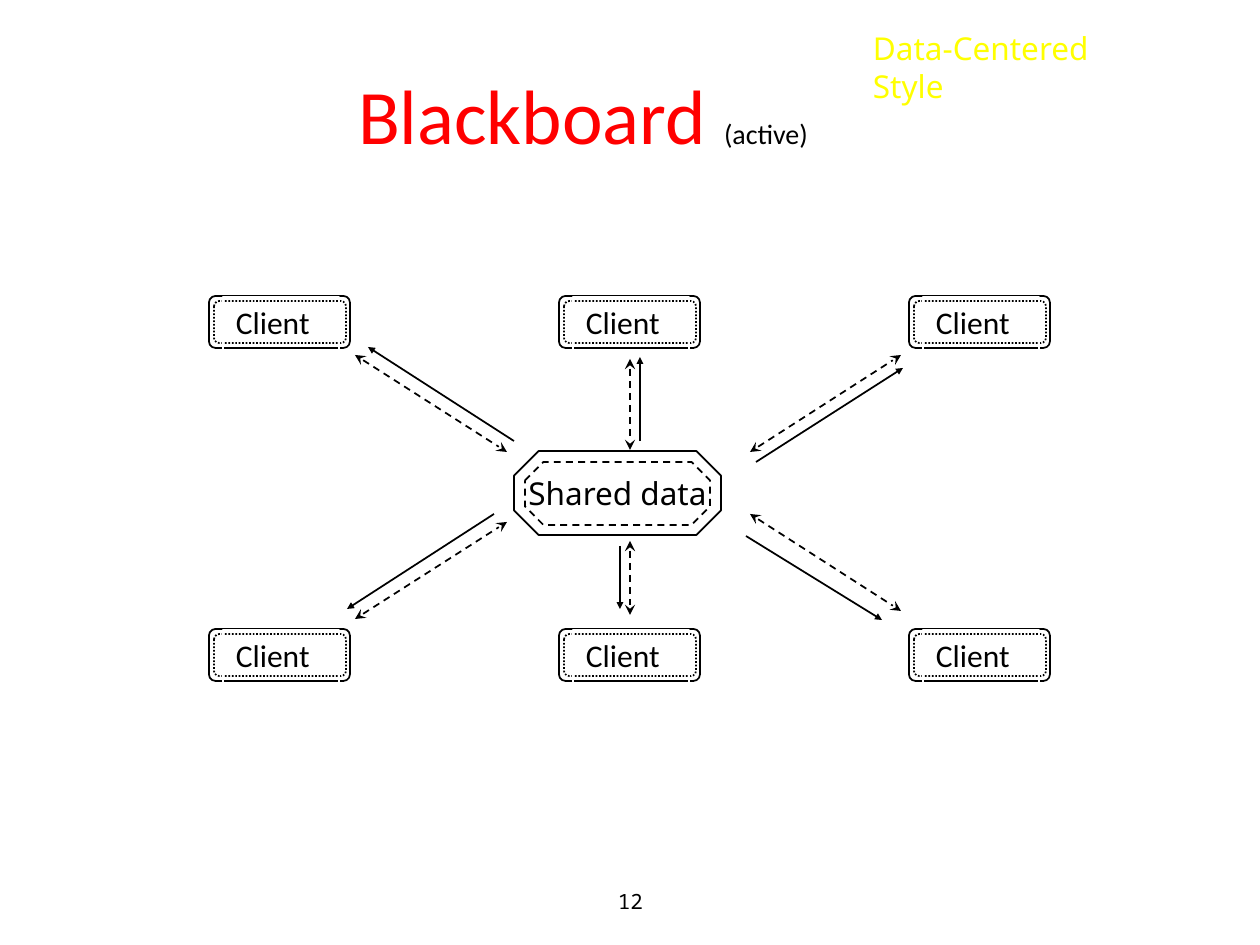
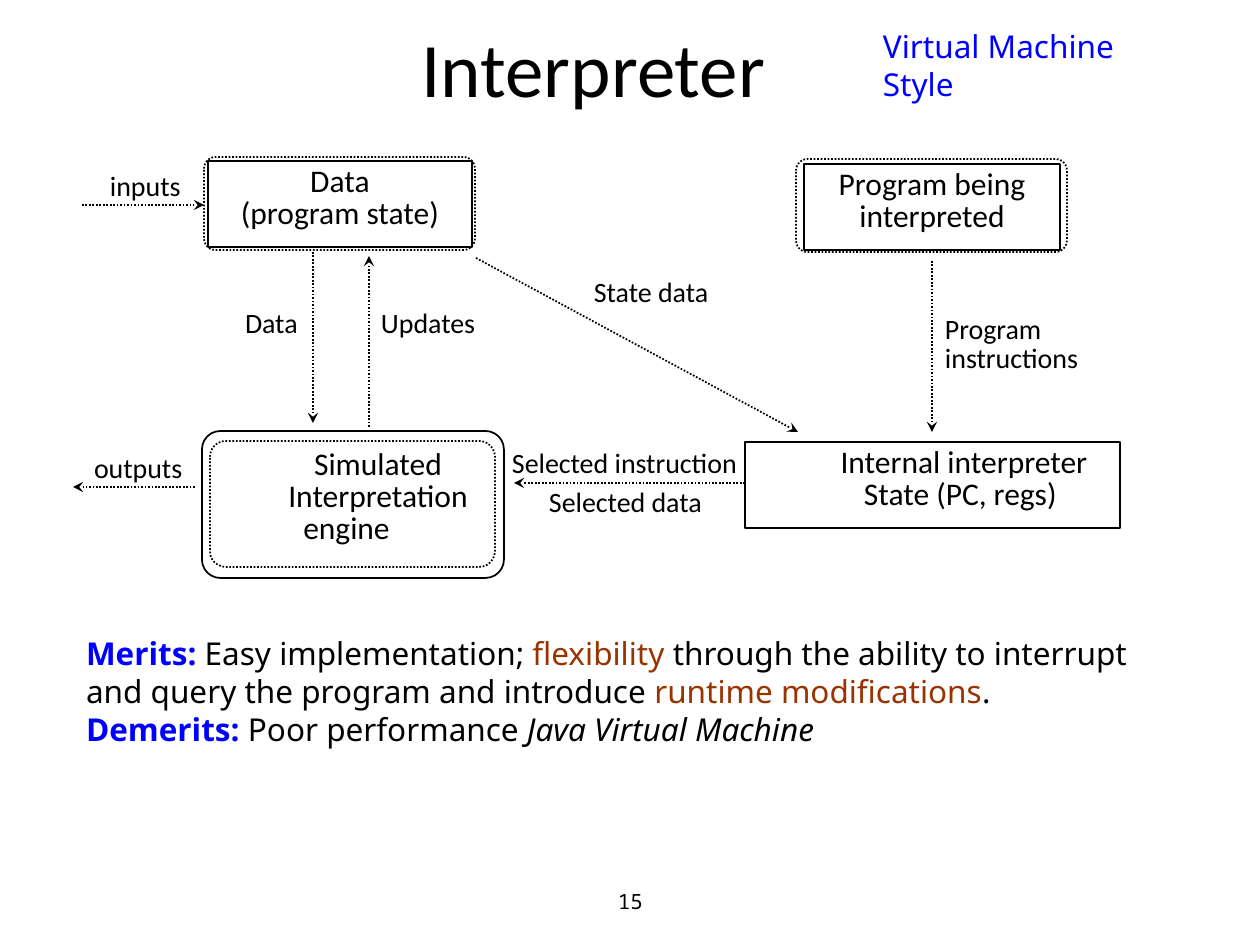
import pptx
import pptx.dml.color
import pptx.enum.dml
import pptx.enum.shapes
import pptx.enum.text
import pptx.oxml.ns
import pptx.util
import lxml.etree

SCALE = 914400 / 126
BLACK, WHITE, RED, BLUE = "000000", "FFFFFF", "FF0000", "0000FF"
YELLOW, BROWN = "FFFF00", "993300"
SERIF, SANS, MONO = "Calibri", "Noto Sans", "Noto Sans Mono"
KIND = pptx.enum.shapes.MSO_SHAPE
DASH = pptx.enum.dml.MSO_LINE.DASH
DOT = pptx.enum.dml.MSO_LINE.ROUND_DOT
LEFT = pptx.enum.text.PP_ALIGN.LEFT
MID = pptx.enum.text.PP_ALIGN.CENTER
TOP = pptx.enum.text.MSO_ANCHOR.TOP
CENTER = pptx.enum.text.MSO_ANCHOR.MIDDLE


def emu(*sizes):
    """Turn pixels into EMU."""
    return [pptx.util.Emu(round(size * SCALE)) for size in sizes]


def rgb(code):
    """Turn a hex string into a colour."""
    return pptx.dml.color.RGBColor.from_string(code)


def write(shape, paras, size=18, font=SERIF, color=BLACK, align=LEFT, anchor=TOP,
          inset=(13, 6), wrap=True, space=None, indents=()):
    """Fill a shape with paragraphs, each a list of (text, format) runs or a string."""
    frame = shape.text_frame
    frame.auto_size = pptx.enum.text.MSO_AUTO_SIZE.NONE
    frame.word_wrap = wrap
    frame.vertical_anchor = anchor
    frame.margin_left, frame.margin_top = emu(*inset)
    frame.margin_right, frame.margin_bottom = emu(*inset)
    for num, para in enumerate(paras):
        line = frame.add_paragraph() if num else frame.paragraphs[0]
        line.alignment = align
        if space:
            line.line_spacing = space
        if num < len(indents):
            line._p.get_or_add_pPr().set("marL", str(emu(indents[num])[0]))
        for words, look in [(para, {})] if isinstance(para, str) else para:
            run = line.add_run()
            run.text = words
            run.font.name = font
            run.font.size = pptx.util.Pt(look.get("size", size))
            run.font.color.rgb = rgb(look.get("color", color))
            run.font.bold = look.get("bold", False)
            run.font.italic = look.get("italic", False)


def label(slide, box, *paras, **look):
    """Add a text box."""
    write(slide.shapes.add_textbox(*emu(*box)), paras, **look)


def frame(slide, kind, box, color=BLACK, width=1, dash=None, bend=None):
    """Add an unfilled outline shape."""
    shape = slide.shapes.add_shape(kind, *emu(*box))
    shape.shadow.inherit = False
    shape.fill.background()
    shape.line.color.rgb = rgb(color)
    shape.line.width = pptx.util.Pt(width)
    if dash:
        shape.line.dash_style = dash
    if bend:
        shape.adjustments[0] = bend
    return shape


def round_box(slide, box, dash=None):
    """Add a rounded outline."""
    return frame(slide, KIND.ROUNDED_RECTANGLE, box, dash=dash, bend=0.125)


def arrow(slide, ends, dash=None, tip="stealth", size="med", both=False):
    """Add a line that points at its second end, or at both."""
    link = slide.shapes.add_connector(pptx.enum.shapes.MSO_CONNECTOR.STRAIGHT, *emu(*ends))
    link.line.color.rgb = rgb(BLACK)
    link.line.width = pptx.util.Pt(1)
    if dash:
        link.line.dash_style = dash
    for tag in ("a:headEnd", "a:tailEnd") if both else ("a:tailEnd",):
        lxml.etree.SubElement(link.line._get_or_add_ln(), pptx.oxml.ns.qn(tag),
                              type=tip, w=size, len=size)
    lxml.etree.SubElement(link._element.spPr, pptx.oxml.ns.qn("a:effectLst"))


def start(deck, box, title, style, spot, color, page):
    """Add a slide with its title, style tag and page number."""
    slide = deck.slides.add_slide(deck.slide_layouts[5])
    head = slide.shapes.title
    head.left, head.top, head.width, head.height = emu(*box)
    write(head, [title], size=44, align=MID, anchor=CENTER, inset=(0, 0))
    label(slide, spot, style, font=SANS, color=color)
    label(slide, (431, 876, 399, 50), page, size=12, font=MONO, align=MID, anchor=CENTER)
    return slide


def client(slide, left, top):
    """Add one client box."""
    round_box(slide, (left, top, 141, 52))
    round_box(slide, (left + 5, top + 5, 132, 42), DOT)
    plate = frame(slide, KIND.RECTANGLE, (left + 14, top + 1, 116, 55), WHITE, 0.75)
    write(plate, ["Client"])


def board(deck):
    """Build the blackboard slide."""
    title = [("Blackboard ", {"color": RED}), ("(active)", {"size": 16})]
    slide = start(deck, (226, 66, 714, 96), title, "Data-Centered Style",
                  (860, 23, 305, 50), YELLOW, "12")
    for row in range(2):
        for col in range(3):
            client(slide, 209 + 350 * col, 296 + 333 * row)
    for ends in ((355, 355, 507, 452), (750, 514, 901, 611), (750, 452, 901, 355),
                 (355, 619, 507, 522), (630, 359, 630, 450), (630, 541, 630, 615)):
        arrow(slide, ends, DASH, both=True)
    for ends in ((620, 546, 620, 609), (746, 536, 882, 620), (756, 462, 903, 368),
                 (640, 441, 640, 357), (514, 441, 368, 347), (494, 514, 347, 609)):
        arrow(slide, ends, tip="triangle", size="sm")
    store = frame(slide, KIND.OCTAGON, (514, 451, 207, 84), bend=0.293)
    write(store, ["Shared data"], font=SANS, align=MID, anchor=CENTER, wrap=False)
    frame(slide, KIND.OCTAGON, (525, 462, 185, 63), dash=DASH, bend=0.293)


def engine(deck):
    """Build the interpreter slide."""
    slide = start(deck, (305, 19, 577, 95), "Interpreter", "Virtual Machine Style",
                  (870, 21, 316, 50), BLUE, "15")
    for box, paras, indents in (
            ((208, 161, 264, 86), ("Data", "(program state)"), ()),
            ((804, 164, 256, 86), ("Program being", "interpreted"), ()),
            ((745, 442, 375, 86), ("Internal interpreter", "State (PC, regs) "), (63, 63))):
        plate = frame(slide, KIND.RECTANGLE, box, width=0.75)
        write(plate, paras, align=MID, space=0.85, indents=indents)
    label(slide, (199, 444, 295, 120), "Simulated", "Interpretation", "engine",
          align=MID, space=0.85, indents=(63, 63))
    round_box(slide, (202, 431, 302, 147))
    for box in ((210, 441, 285, 126), (204, 157, 271, 93), (796, 159, 271, 93)):
        round_box(slide, box, DOT)
    for left, top, width, words in (
            (232, 300, 84, "Data"), (368, 300, 130, "Updates"),
            (581, 268, 154, "State data"), (81, 445, 117, "outputs"),
            (499, 440, 260, "Selected instruction"), (536, 479, 197, "Selected data"),
            (97, 163, 100, "inputs")):
        label(slide, (left, top, width, 47), words, size=16)
    label(slide, (932, 311, 166, 71), "Program", "instructions", size=16, space=0.85)
    for ends in ((932, 261, 932, 432), (476, 258, 798, 432), (195, 487, 73, 487),
                 (745, 483, 514, 483), (82, 205, 204, 205), (313, 252, 313, 423),
                 (369, 427, 369, 256)):
        arrow(slide, ends, DOT)
    mark, hue = {"color": BLUE, "bold": True}, {"color": BROWN}
    label(slide, (73, 628, 1092, 180),
          [("Merits: ", mark), ("Easy implementation; ", {}), ("flexibility", hue),
           (" through the ability to interrupt and query the program and introduce ", {}),
           ("runtime modifications", hue), (".", {})],
          [("Demerits:", mark), (" Poor performance ", {}),
           ("Java Virtual Machine", {"italic": True})], font=SANS)


def main():
    """Build and save the deck."""
    deck = pptx.Presentation()
    deck.slide_width, deck.slide_height = emu(1260, 945)
    board(deck)
    engine(deck)
    deck.save("out.pptx")


main()
